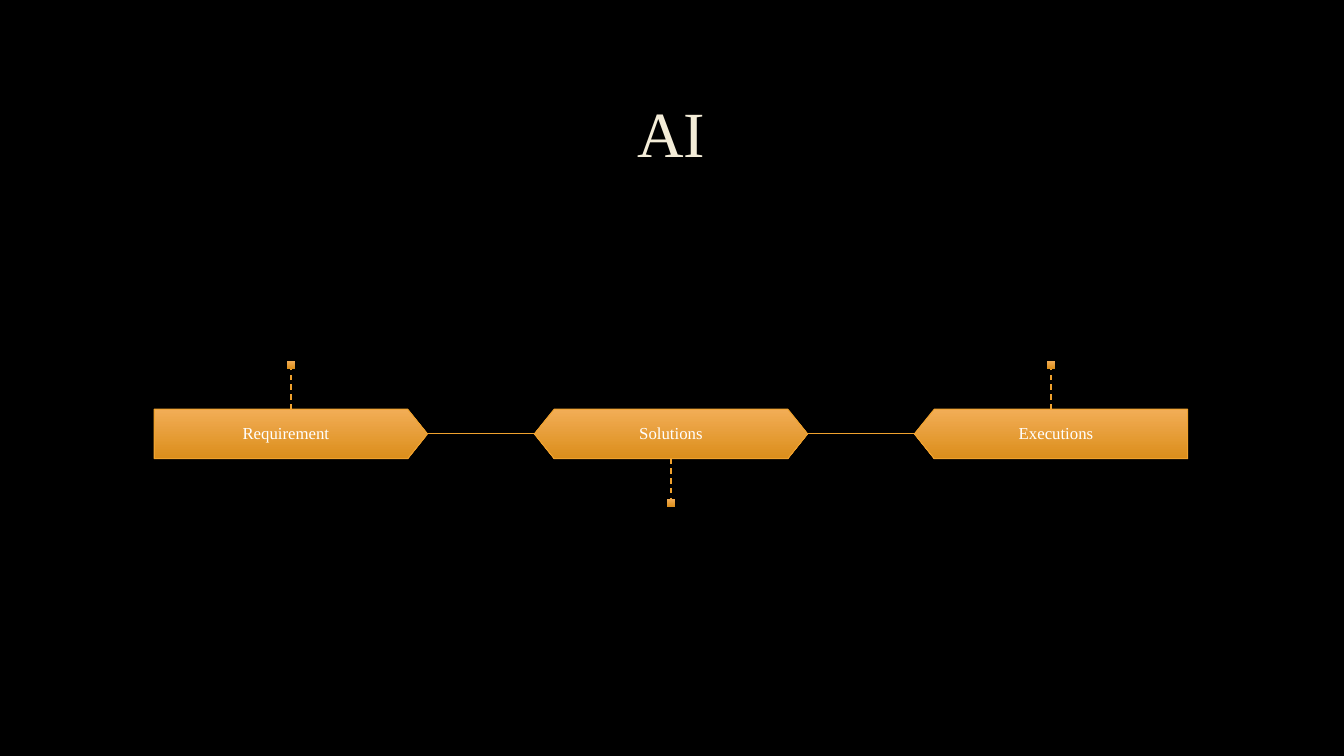
from lxml.etree import SubElement
from pptx import Presentation
from pptx.dml.color import RGBColor
from pptx.enum.dml import MSO_LINE
from pptx.enum.shapes import MSO_CONNECTOR, MSO_SHAPE
from pptx.enum.text import MSO_ANCHOR, PP_ALIGN
from pptx.oxml.ns import qn
from pptx.util import Inches, Pt

BLACK = RGBColor(0x00, 0x00, 0x00)
CREAM = RGBColor(0xF4, 0xED, 0xD8)
WHITE = RGBColor(0xFF, 0xFF, 0xFF)
AMBER = RGBColor(0xF0, 0xA2, 0x2E)
LIGHT_AMBER = RGBColor(0xF2, 0xAD, 0x56)
DARK_AMBER = RGBColor(0xDB, 0x8E, 0x1B)
FONT = "Times New Roman"

STEPS = [
    ("Requirement", MSO_SHAPE.PENTAGON, False, True),
    ("Solutions", MSO_SHAPE.HEXAGON, False, False),
    ("Executions", MSO_SHAPE.PENTAGON, True, True),
]
STEP_WIDTH, STEP_HEIGHT, STEP_GAP = 2.71, 0.49, 1.06
STEM_LENGTH, MARKER_SIZE = 0.4, 0.08


def write_text(shape, text, size, color):
    """Put one centred line of text in a shape."""
    frame = shape.text_frame
    frame.word_wrap = True
    frame.vertical_anchor = MSO_ANCHOR.MIDDLE
    frame.margin_top = frame.margin_bottom = Inches(0.05)
    paragraph = frame.paragraphs[0]
    paragraph.alignment = PP_ALIGN.CENTER
    paragraph.line_spacing = 0.9
    run = paragraph.add_run()
    run.text = text
    run.font.name = FONT
    run.font.size = Pt(size)
    run.font.color.rgb = color


def add_amber_shape(slide, kind, left, top, width, height):
    """Add a shape with the amber gradient and no outline."""
    shape = slide.shapes.add_shape(
        kind, Inches(left), Inches(top), Inches(width), Inches(height))
    shape.shadow.inherit = False
    shape.fill.gradient()
    shape.fill.gradient_angle = 270
    for stop, color, position in zip(
            shape.fill.gradient_stops, (LIGHT_AMBER, DARK_AMBER), (0, 1)):
        stop.color.rgb = color
        stop.position = position
    shape.line.fill.background()
    return shape


def add_line(slide, start, end, width, dash=None):
    """Draw an amber line between two points."""
    line = slide.shapes.add_connector(
        MSO_CONNECTOR.STRAIGHT, *(Inches(value) for value in (*start, *end)))
    line.line.color.rgb = AMBER
    line.line.width = Pt(width)
    if dash:
        line.line.dash_style = dash
    SubElement(line._element.spPr, qn("a:effectLst"))


def add_title(slide, left, top, width, height):
    """Place the slide title in its box."""
    title = slide.shapes.title
    title.left, title.top = Inches(left), Inches(top)
    title.width, title.height = Inches(width), Inches(height)
    write_text(title, "AI", 46, CREAM)


def add_step(slide, left, top, label, kind, mirrored, marker_above):
    """Draw one step with its dashed stem and square marker."""
    step = add_amber_shape(slide, kind, left, top, STEP_WIDTH, STEP_HEIGHT)
    step.adjustments[0] = 0.4
    step.line.color.rgb = AMBER
    step.line.width = Pt(0.75)
    if mirrored:
        step._element.spPr.xfrm.set("flipH", "1")
    write_text(step, label, 12, WHITE)

    center = left + STEP_WIDTH / 2
    if marker_above:
        edge, tip = top, top - STEM_LENGTH
        marker_top = tip - MARKER_SIZE
    else:
        edge = top + STEP_HEIGHT
        tip = marker_top = edge + STEM_LENGTH
    add_line(slide, (center, edge), (center, tip), 1, MSO_LINE.DASH)
    add_amber_shape(slide, MSO_SHAPE.RECTANGLE, center - MARKER_SIZE / 2,
                    marker_top, MARKER_SIZE, MARKER_SIZE)


def add_timeline(slide, left, top):
    """Lay out the steps in a row and link neighbours."""
    middle = top + STEP_HEIGHT / 2
    for index, step in enumerate(STEPS):
        step_left = left + index * (STEP_WIDTH + STEP_GAP)
        if index:
            add_line(slide, (step_left - STEP_GAP, middle),
                     (step_left, middle), 0.75)
        add_step(slide, step_left, top, *step)


def main():
    """Build and save the presentation."""
    presentation = Presentation()
    presentation.slide_width = Inches(13.33)
    presentation.slide_height = Inches(7.5)
    slide = presentation.slides.add_slide(presentation.slide_layouts[5])
    slide.background.fill.solid()
    slide.background.fill.fore_color.rgb = BLACK
    add_title(slide, 1, 0.67, 11.32, 1.38)
    add_timeline(slide, 1.53, 4.06)
    presentation.save("out.pptx")


if __name__ == "__main__":
    main()
